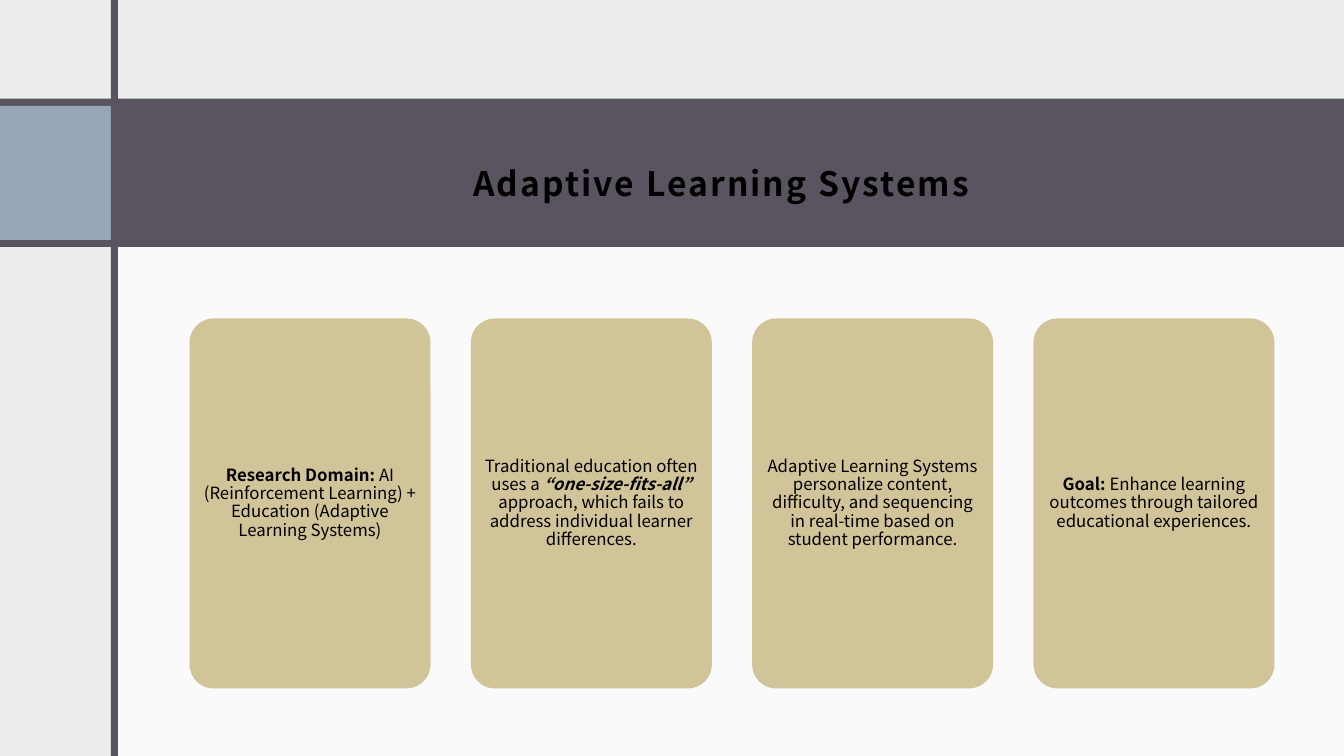
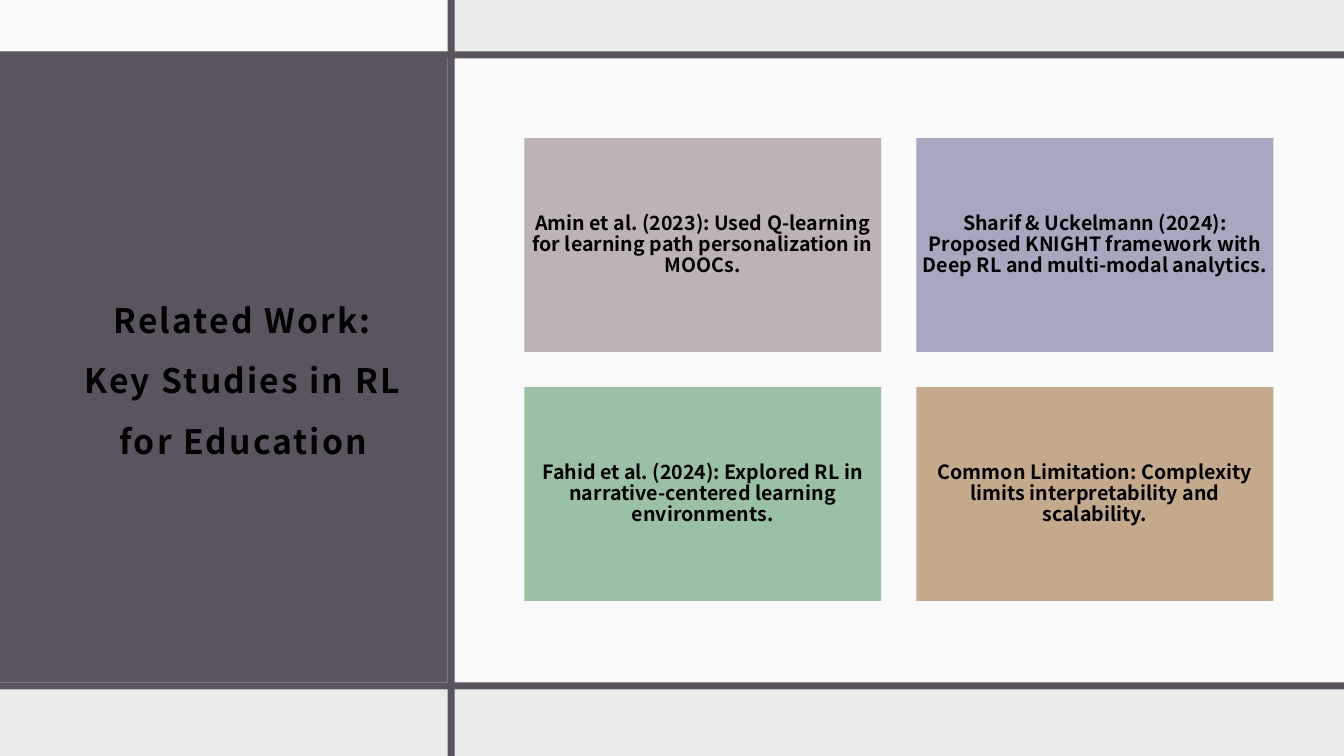
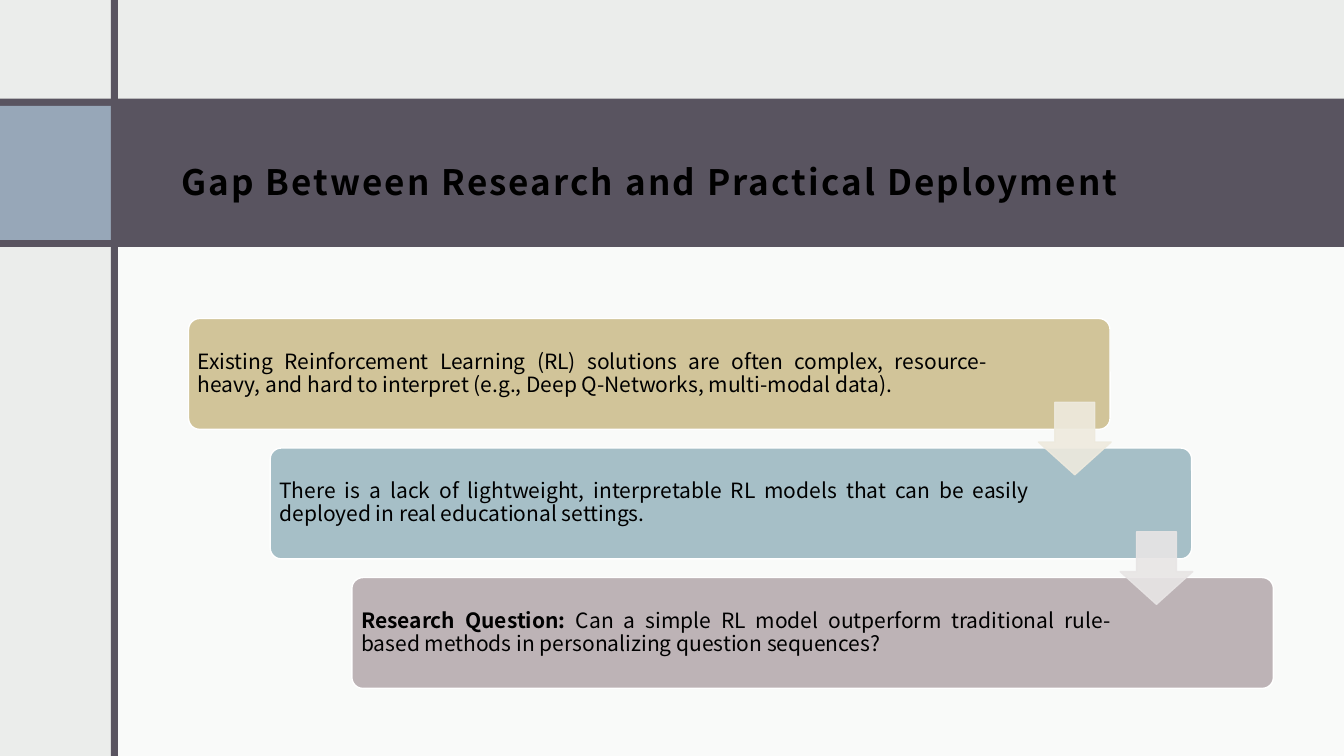
from dataclasses import dataclass

from lxml import etree
from pptx import Presentation
from pptx.dml.color import RGBColor
from pptx.enum import shapes, text
from pptx.oxml import ns
from pptx.util import Inches, Pt


@dataclass(frozen=True)
class Theme:
    font: str = "Noto Sans CJK JP"
    ink: str = "000000"
    paper: str = "EBEDEB"
    white: str = "FFFFFF"
    band: str = "595460"
    corner: str = "97A7B8"
    sand: str = "D1C499"
    teal: str = "A6BFC7"
    mauve: str = "BDB3B6"
    lilac: str = "A7A8BF"
    green: str = "9BC1A4"
    tan: str = "C5A98D"
    pale_sand: str = "EEEADE"
    pale_mauve: str = "E8E5E5"
    title_size: float = 24
    long_title_size: float = 25
    card_size: float = 12
    study_size: float = 14
    step_size: float = 15


theme = Theme()
RECT = shapes.MSO_SHAPE.RECTANGLE
ROUNDED = shapes.MSO_SHAPE.ROUNDED_RECTANGLE
ARROW = shapes.MSO_SHAPE.DOWN_ARROW
CENTER = text.PP_ALIGN.CENTER
LEFT = text.PP_ALIGN.LEFT
JUSTIFY = text.PP_ALIGN.JUSTIFY
WIDTH, HEIGHT = 13.33, 7.5
RULE = 0.07
TITLE_INSETS = (0.12, 0.12, 0.12, 0.1)


def draw(slide, box, fill, kind=RECT, adjust=(), line=None, opacity=100):
    """Add a preset shape; box is left, top, width, height in inches."""
    shape = slide.shapes.add_shape(kind, *map(Inches, box))
    shape.shadow.inherit = False
    for index, value in enumerate(adjust):
        shape.adjustments[index] = value
    shape.fill.solid()
    shape.fill.fore_color.rgb = RGBColor.from_string(fill)
    if line:
        shape.line.color.rgb = RGBColor.from_string(line)
        shape.line.width = Pt(1)
    else:
        shape.line.fill.background()
    if opacity < 100:
        for colour in shape.element.spPr.iter(ns.qn("a:srgbClr")):
            etree.SubElement(colour, ns.qn("a:alpha"), val=str(opacity * 1000))
    return shape


def write(shape, runs, size, align=CENTER, spacing=0.9, insets=(0.05,) * 4, tracking=0):
    """Fill a shape with runs of (words, style); style holds b for bold, i for italic."""
    frame = shape.text_frame
    frame.word_wrap = True
    frame.vertical_anchor = text.MSO_ANCHOR.MIDDLE
    (frame.margin_left, frame.margin_top,
     frame.margin_right, frame.margin_bottom) = map(Inches, insets)
    paragraph = frame.paragraphs[0]
    paragraph.alignment = align
    paragraph.line_spacing = spacing
    for words, style in runs:
        run = paragraph.add_run()
        run.text = words
        run.font.name = theme.font
        run.font.size = Pt(size)
        run.font.color.rgb = RGBColor.from_string(theme.ink)
        run.font.bold = "b" in style
        run.font.italic = "i" in style
        if tracking:
            run._r.get_or_add_rPr().set("spc", str(int(tracking * 100)))


prs = Presentation()
prs.slide_width, prs.slide_height = Inches(WIDTH), Inches(HEIGHT)
background = prs.slide_master.background.fill
background.solid()
background.fore_color.rgb = RGBColor.from_string(theme.paper)
systems, related, gap = [prs.slides.add_slide(prs.slide_layouts[6]) for _ in range(3)]

# Bands and rules
for slide in (systems, gap):
    draw(slide, (1.14, 2.33, WIDTH - 1.14, HEIGHT - 2.33), theme.white, opacity=75)
    draw(slide, (0, 0.98, WIDTH, 1.47), theme.band)
    draw(slide, (0, 1.05, 1.1, 1.33), theme.corner)
    draw(slide, (1.1, 0, RULE, HEIGHT), theme.band)

draw(related, (0, 0.51, 4.44, 6.26), theme.band)
draw(related, (0, 0, 4.44, 0.55), theme.white, opacity=75)
draw(related, (4.51, 0.58, WIDTH - 4.51, 6.22), theme.white, opacity=75)
draw(related, (4.44, 0, RULE, HEIGHT), theme.band)
for top in (0.51, 6.77):
    draw(related, (0, top, WIDTH, RULE), theme.band)

# Titles
header_box = (1.68, 1.14, 10.95, 1.13)
titles = [
    (systems, header_box, "Adaptive Learning Systems", theme.title_size, CENTER, 1.5),
    (related, (0.71, 1.31, 3.41, 4.71), "Related Work: Key Studies in RL for Education",
     theme.title_size, CENTER, 1.5),
    (gap, header_box, "Gap Between Research and Practical Deployment",
     theme.long_title_size, LEFT, 1.4),
]
for slide, box, title, size, align, spacing in titles:
    write(slide.shapes.add_textbox(*map(Inches, box)), [(title, "b")], size,
          align=align, spacing=spacing, insets=TITLE_INSETS, tracking=1.5)

# Adaptive learning: four cards
cards = [
    [("Research Domain: ", "b"),
     ("AI (Reinforcement Learning) + Education (Adaptive Learning Systems)", "")],
    [("Traditional education often uses a ", ""), ("“one-size-fits-all” ", "bi"),
     ("approach, which fails to address individual learner differences.", "")],
    [("Adaptive Learning Systems personalize content, difficulty, and sequencing "
      "in real-time based on student performance.", "")],
    [("Goal: ", "b"),
     ("Enhance learning outcomes through tailored educational experiences.", "")],
]
card_width, card_gap = 2.39, 0.4
for column, runs in enumerate(cards):
    left = 1.88 + column * (card_width + card_gap)
    card = draw(systems, (left, 3.16, card_width, 3.67), theme.sand, ROUNDED, [0.1])
    write(card, runs, theme.card_size)

# Related work: two by two grid
studies = [
    ("Amin et al. (2023): Used Q-learning for learning path personalization in MOOCs.",
     theme.mauve),
    ("Sharif & Uckelmann (2024): Proposed KNIGHT framework with Deep RL and "
     "multi-modal analytics.", theme.lilac),
    ("Fahid et al. (2024): Explored RL in narrative-centered learning environments.",
     theme.green),
    ("Common Limitation: Complexity limits interpretability and scalability.", theme.tan),
]
study_width, study_height, study_gap = 3.54, 2.12, 0.35
for index, (finding, fill) in enumerate(studies):
    row, column = divmod(index, 2)
    study = draw(related, (5.2 + column * (study_width + study_gap),
                           1.37 + row * (study_height + study_gap),
                           study_width, study_height), fill)
    write(study, [(finding, "b")], theme.study_size, insets=(0.06,) * 4)

# Gap: descending steps joined by arrows
steps = [
    ([("Existing Reinforcement Learning (RL) solutions are often complex, resource-heavy, "
       "and hard to interpret (e.g., Deep Q-Networks, multi-modal data).", "")],
     theme.sand, 1.18),
    ([("There is a lack of lightweight, interpretable RL models that can be easily "
       "deployed in real educational settings.", "")], theme.teal, 1.58),
    ([("Research Question: ", "b"),
      ("Can a simple RL model outperform traditional rule-based methods in "
       "personalizing question sequences?", "")], theme.mauve, 1.58),
]
step_right, step_down = 0.81, (5.73 - 3.16) / 2
for index, (runs, fill, right_inset) in enumerate(steps):
    step = draw(gap, (1.87 + index * step_right, 3.16 + index * step_down, 9.14, 1.1),
                fill, ROUNDED, [0.1], line=theme.white)
    write(step, runs, theme.step_size, align=JUSTIFY,
          insets=(0.06, 0.06, right_inset, 0.06))
for index, fill in enumerate((theme.pale_sand, theme.pale_mauve)):
    draw(gap, (10.3 + index * step_right, 3.99 + index * step_down, 0.72, 0.72),
         fill, ARROW, [0.55, 0.45], line=fill, opacity=90)

prs.save("out.pptx")
